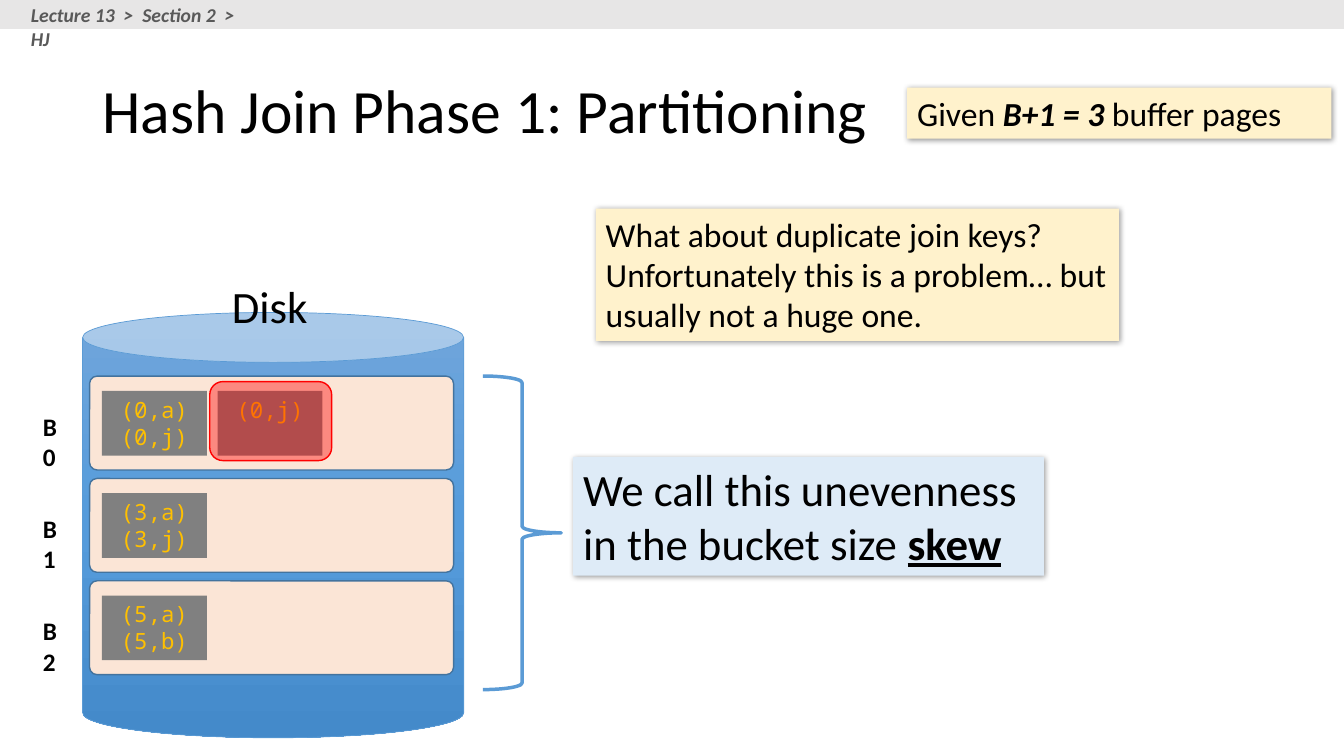
"""Build the slide on partitioning skew in the first phase of a hash join."""
from copy import deepcopy
from dataclasses import dataclass
from typing import Optional

from lxml.etree import SubElement
from pptx import Presentation
from pptx.dml.color import RGBColor
from pptx.enum.shapes import MSO_SHAPE as Preset
from pptx.enum.text import MSO_ANCHOR as Anchor, PP_ALIGN as Align
from pptx.oxml.ns import qn
from pptx.shapes.autoshape import Shape
from pptx.slide import Slide
from pptx.util import Pt

BLACK, BLUE, CREAM, RED = "000000", "5B9BD5", "FFF2CC", "FF0000"
ROW_TOP, ROW_STEP = 268.7, 73.1


@dataclass
class Run:
    """A piece of text with its own emphasis."""
    text: str
    bold: bool = False
    italic: bool = False
    underline: bool = False


@dataclass
class Text:
    """Paragraphs of runs that share one font."""
    paragraphs: list[list[Run]]
    size: float
    font: str = "Calibri"
    color: str = BLACK
    align: Align = Align.LEFT
    anchor: Anchor = Anchor.TOP
    wrap: bool = True
    spacing: Optional[float] = None


@dataclass
class Box:
    """A shape, or a plain text box when it has no preset."""
    left: float
    top: float
    width: float
    height: float
    preset: Optional[Preset] = None
    fill: Optional[str] = None
    alpha: Optional[int] = None
    line: Optional[str] = None
    line_width: float = 1
    adjustment: Optional[float] = None
    shadow: bool = False
    text: Optional[Text] = None


def rgb(color: str) -> RGBColor:
    """Turn a hex string into a colour."""
    return RGBColor.from_string(color)


def write(shape: Shape, text: Text) -> None:
    """Put formatted text into a shape."""
    frame = shape.text_frame
    frame.text = "\n".join("" for _ in text.paragraphs)
    frame.word_wrap = text.wrap
    frame.vertical_anchor = text.anchor
    for paragraph, runs in zip(frame.paragraphs, text.paragraphs):
        paragraph.alignment = text.align
        if text.spacing:
            paragraph.line_spacing = text.spacing
        for part in runs:
            run = paragraph.add_run()
            run.text = part.text
            font = run.font
            font.name, font.size = text.font, Pt(text.size)
            font.color.rgb = rgb(text.color)
            font.bold, font.italic = part.bold, part.italic
            font.underline = part.underline


def add_shadow(shape: Shape) -> None:
    """Give a shape a soft shadow to the lower right."""
    effects = shape._element.spPr.find(qn("a:effectLst"))
    shadow = SubElement(effects, qn("a:outerShdw"), blurRad=str(Pt(4)),
                        dist=str(Pt(1)), dir="2700000", algn="tl", rotWithShape="0")
    color = SubElement(shadow, qn("a:srgbClr"), val=BLACK)
    SubElement(color, qn("a:alpha"), val="40000")


def set_transparency(shape: Shape, percent: int) -> None:
    """Set the opacity of a solid fill."""
    color = shape._element.spPr.find(qn("a:solidFill")).find(qn("a:srgbClr"))
    SubElement(color, qn("a:alpha"), val=str(percent * 1000))


def shade(shape: Shape, colors: list[str]) -> None:
    """Fill a shape with evenly spaced colours from top to bottom."""
    shape.fill.gradient()
    shape.fill.gradient_angle = 270
    stop_list = shape._element.spPr.find(qn("a:gradFill")).find(qn("a:gsLst"))
    while len(stop_list) < len(colors):
        stop_list.append(deepcopy(stop_list[0]))
    for index, (stop, color) in enumerate(zip(shape.fill.gradient_stops, colors)):
        stop.position = index / (len(colors) - 1)
        stop.color.rgb = rgb(color)


def draw(slide: Slide, box: Box) -> Shape:
    """Draw one box on the slide."""
    place = [Pt(value) for value in (box.left, box.top, box.width, box.height)]
    if box.preset is None:
        shape = slide.shapes.add_textbox(*place)
    else:
        shape = slide.shapes.add_shape(box.preset, *place)
        shape.shadow.inherit = False
        if box.fill:
            shape.fill.solid()
            shape.fill.fore_color.rgb = rgb(box.fill)
        else:
            shape.fill.background()
        if box.line:
            shape.line.color.rgb = rgb(box.line)
            shape.line.width = Pt(box.line_width)
        else:
            shape.line.fill.background()
    if box.adjustment is not None:
        shape.adjustments[0] = box.adjustment
    if box.alpha is not None:
        set_transparency(shape, box.alpha)
    if box.shadow:
        add_shadow(shape)
    if box.text:
        write(shape, box.text)
    return shape


def page(left: float, top: float, tuples: list[str]) -> Box:
    """Describe a disk page that lists its tuples."""
    text = Text([[Run(item)] for item in tuples], 16, "Noto Sans Mono", "FFC000", Align.CENTER)
    return Box(left, top, 75, 46.2, Preset.RECTANGLE, "808080", text=text)


def callout(left: float, top: float, width: float, height: float,
            fill: str, size: float, runs: list[Run]) -> Box:
    """Describe a shadowed note."""
    return Box(left, top, width, height, Preset.RECTANGLE, fill, shadow=True,
               text=Text([runs], size))


def draw_bucket(slide: Slide, index: int, pages: list[list[str]]) -> None:
    """Draw a bucket with its label and pages."""
    top = ROW_TOP + index * ROW_STEP
    label = Text([[Run(f"B{index}", bold=True)]], 18, wrap=False)
    draw(slide, Box(23.6, top + 21.4, 33, 29, text=label))
    draw(slide, Box(64, top, 260, 67, Preset.ROUNDED_RECTANGLE, "FBE5D6",
                    line="43739E", adjustment=0.079))
    for column, tuples in enumerate(pages):
        draw(slide, page(72.8 + 82.6 * column, top + 10.5, tuples))


def main() -> None:
    """Build and save the slide."""
    presentation = Presentation()
    presentation.slide_width, presentation.slide_height = Pt(960), Pt(540)
    slide = presentation.slides.add_slide(presentation.slide_layouts[6])

    draw(slide, Box(66, 28.8, 828, 104.4, text=Text(
        [[Run("Hash Join Phase 1: Partitioning")]], 44, anchor=Anchor.MIDDLE, spacing=0.9)))
    disk = draw(slide, Box(59, 223.2, 272.2, 303.8, Preset.CAN, line=BLUE,
                           line_width=0.5, adjustment=0.131))
    shade(disk, ["71A6DB", "559BDB", "448ACA"])
    draw(slide, Box(157.7, 195.8, 70, 56, text=Text([[Run("Disk")]], 32, align=Align.CENTER)))

    buckets = [[["(0,a)", "(0,j)"], ["(0,j)"]], [["(3,a)", "(3,j)"]], [["(5,a)", "(5,b)"]]]
    for index, pages in enumerate(buckets):
        draw_bucket(slide, index, pages)
    draw(slide, Box(149.8, 272.6, 87.1, 56.4, Preset.ROUNDED_RECTANGLE, RED, 40, RED))
    draw(slide, Box(344.9, 268.6, 56, 224, Preset.RIGHT_BRACE, line=BLUE, line_width=2.5))

    for note in (
        callout(648, 62.6, 303, 36.4, CREAM, 24, [
            Run("Given "), Run("B+1 = 3 ", bold=True, italic=True), Run("buffer pages")]),
        callout(425.6, 149, 373.7, 94.5, CREAM, 24, [
            Run("What about duplicate join keys? Unfortunately this is a problem… "
                "but usually not a huge one.")]),
        callout(409.5, 326.4, 336.2, 84.8, "DEEBF7", 32, [
            Run("We call this unevenness in the bucket size "),
            Run("skew", bold=True, underline=True)]),
    ):
        draw(slide, note)

    draw(slide, Box(0, 0, 960, 20.7, Preset.RECTANGLE, "E7E6E6"))
    draw(slide, Box(15, -1.4, 177.8, 24.2, text=Text(
        [[Run("Lecture 13  >  Section 2  >  HJ", bold=True, italic=True)]], 14, color="595959")))
    presentation.save("out.pptx")


if __name__ == "__main__":
    main()
